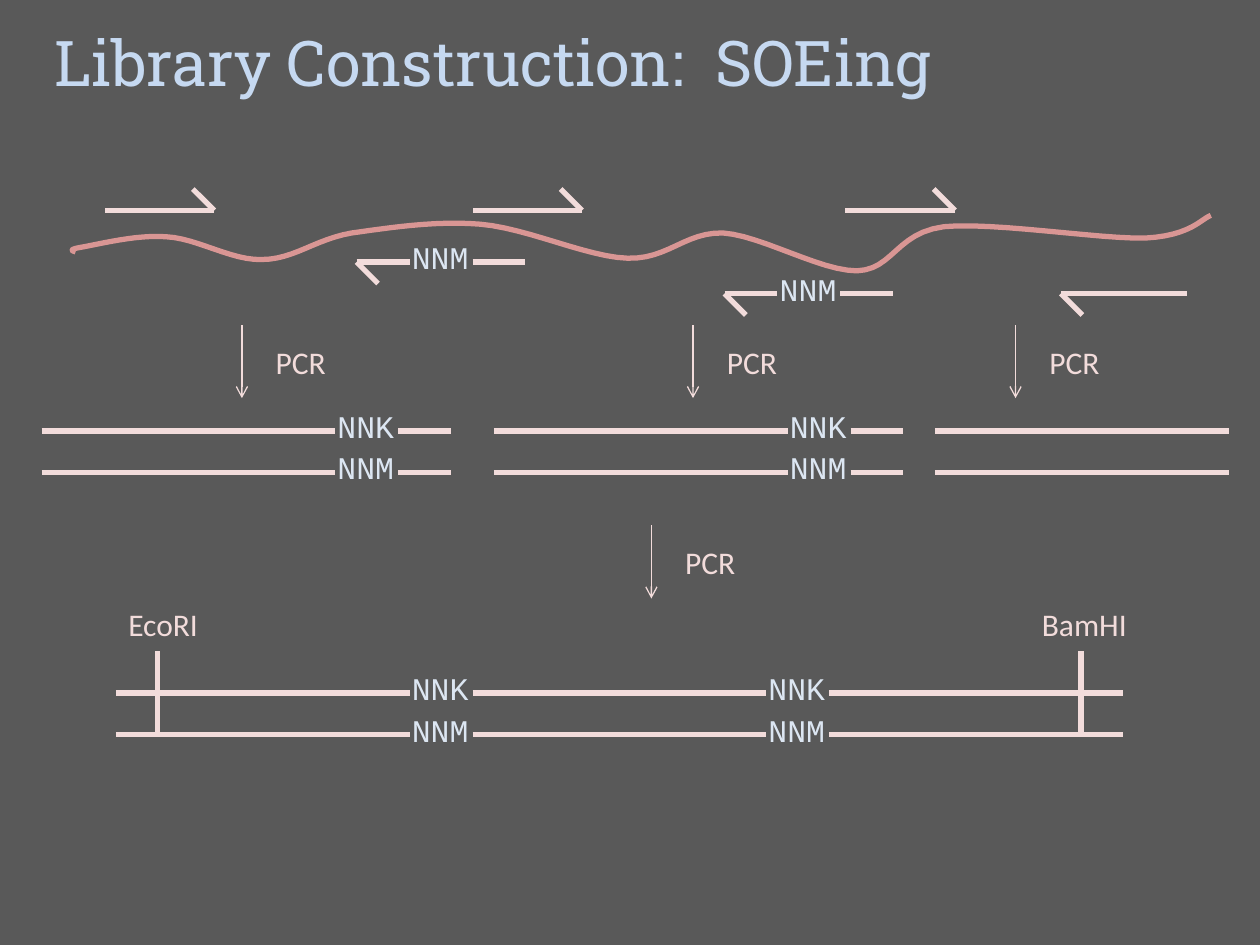
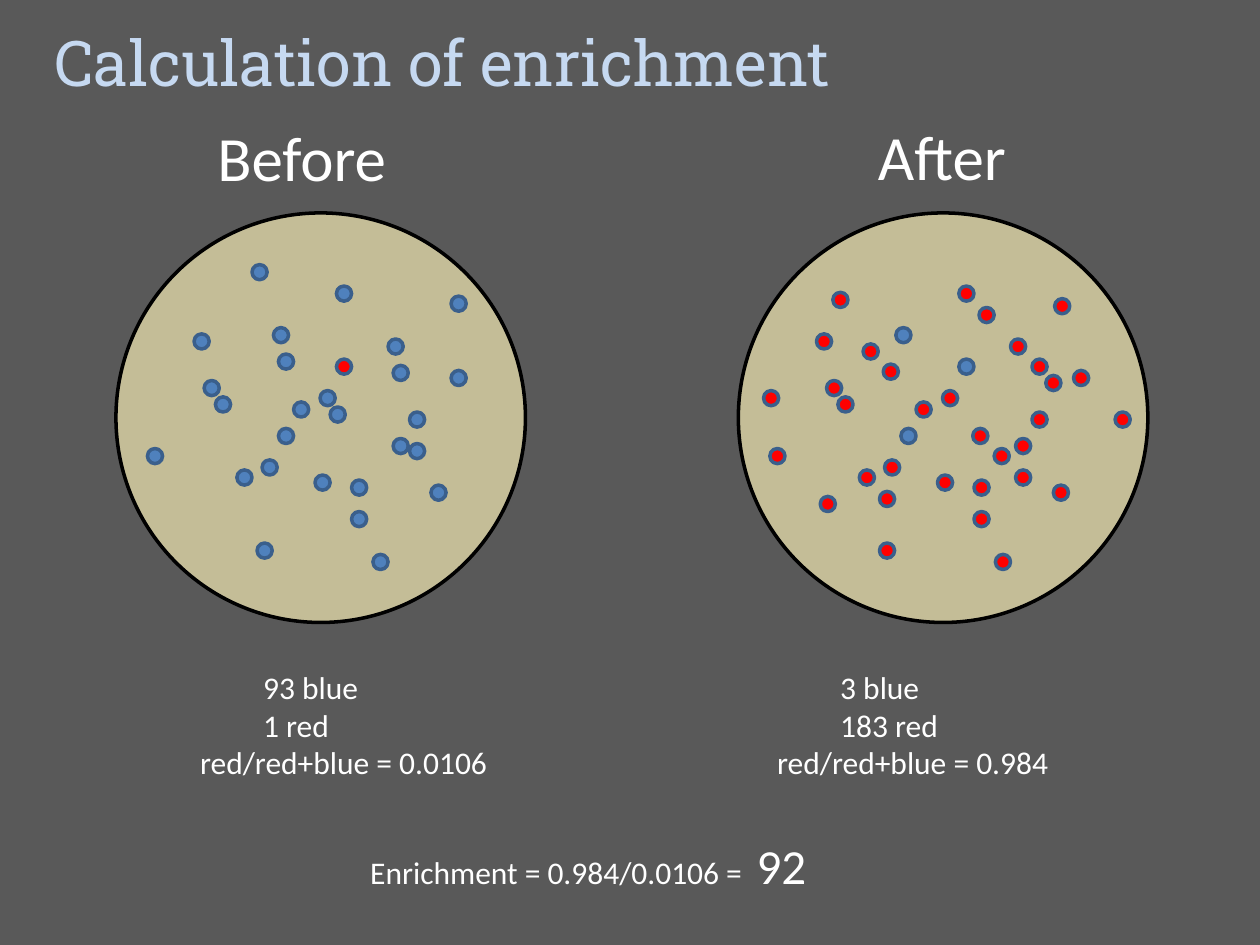
from dataclasses import dataclass

from pptx import Presentation
from pptx.dml.color import RGBColor
from pptx.enum.shapes import MSO_CONNECTOR, MSO_SHAPE
from pptx.enum.text import MSO_ANCHOR, MSO_AUTO_SIZE, PP_ALIGN
from pptx.oxml.ns import qn
from pptx.util import Inches, Pt
from lxml.etree import SubElement


@dataclass(frozen=True)
class Theme:
    background: str = "595959"
    title: str = "C6D9F1"
    strand: str = "F2DCDB"
    gene: str = "D99694"
    codon: str = "DCE6F2"
    text: str = "FFFFFF"
    agar: str = "C4BD97"
    dish_edge: str = "000000"
    blue: str = "4F81BD"
    red: str = "FF0000"
    colony_edge: str = "3A5F8C"
    title_font: str = "Roboto Slab"
    body_font: str = "Calibri"
    codon_font: str = "Courier New"
    title_size: int = 36
    result_size: int = 28
    body_size: int = 18
    strand_width: float = 3
    arrow_width: float = 0.75
    edge_width: float = 2


THEME = Theme()

GENE_START = (0.6, 2)
GENE_CURVES = [
    ((0.57, 1.99), (0.54, 1.98), (0.66, 1.96)),
    ((0.78, 1.94), (1.09, 1.86), (1.32, 1.88)),
    ((1.56, 1.89), (1.84, 2.07), (2.08, 2.06)),
    ((2.33, 2.06), (2.5, 1.9), (2.79, 1.85)),
    ((3.08, 1.81), (3.45, 1.75), (3.81, 1.78)),
    ((4.18, 1.81), (4.66, 2.04), (4.98, 2.05)),
    ((5.3, 2.06), (5.44, 1.84), (5.74, 1.85)),
    ((6.04, 1.87), (6.51, 2.15), (6.8, 2.15)),
    ((7.09, 2.14), (7.11, 1.85), (7.49, 1.8)),
    ((7.87, 1.76), (8.74, 1.9), (9.09, 1.89)),
    ((9.45, 1.87), (9.53, 1.74), (9.61, 1.71)),
]

DISH_SHIFT = 4.94
SHARED_COLONIES = [
    (2.17, 2.6), (3.08, 2.69), (1.54, 2.65), (1.71, 3.15), (2.79, 4.06),
    (2.33, 3.19), (3.25, 3.27), (1.88, 3.73), (2.79, 3.81), (2.5, 3.77),
    (3.42, 3.85), (2.04, 4.31), (2.96, 4.4), (2.67, 2.27), (2.67, 2.85),
    (3.58, 2.94), (2.21, 3.4), (3.12, 3.48), (1.62, 3.02), (2.54, 3.1),
    (1.17, 3.56), (2.08, 3.65),
]
BEFORE_COLONIES = [
    (2, 2.1), (3.25, 3.52), (2.62, 3.23), (3.58, 2.35), (2.21, 2.81),
    (3.12, 2.9),
]
AFTER_COLONIES = [
    (1.91, 2.73), (1.57, 3.94), (1.12, 3.1), (3.36, 2.98), (1.67, 2.32),
    (2.78, 3.4), (2.04, 3.9), (3.25, 2.85), (2.07, 2.89), (2.83, 2.44),
    (2.95, 3.56), (3.43, 2.37), (3.12, 3.73), (3.91, 3.27),
]
BEFORE_RED = {(2.67, 2.85)}
AFTER_BLUE = {(2.17, 2.6), (2.67, 2.85), (2.21, 3.4)}


def add_run(paragraph, words, size=THEME.body_size, color=THEME.text, font=THEME.body_font):
    run = paragraph.add_run()
    run.text = words
    run.font.name = font
    run.font.size = Pt(size)
    run.font.color.rgb = RGBColor.from_string(color)


def add_text(slide, left, top, width, height, wrap=True):
    box = slide.shapes.add_textbox(Inches(left), Inches(top), Inches(width), Inches(height))
    box.text_frame.word_wrap = wrap
    box.text_frame.auto_size = MSO_AUTO_SIZE.SHAPE_TO_FIT_TEXT
    return box.text_frame


def add_label(slide, words, left, top, width=0.6):
    frame = add_text(slide, left, top, width, 0.4, wrap=False)
    add_run(frame.paragraphs[0], words, color=THEME.strand)


def add_codon(slide, codon, left, strand_y):
    frame = add_text(slide, left, strand_y - 0.24, 0.83, 0.4)
    add_run(frame.paragraphs[0], codon, color=THEME.codon, font=THEME.codon_font)


def add_line(slide, start, end, width=THEME.strand_width, arrow=False):
    x1, y1, x2, y2 = (Inches(value) for value in (*start, *end))
    connector = slide.shapes.add_connector(MSO_CONNECTOR.STRAIGHT, x1, y1, x2, y2)
    connector.line.color.rgb = RGBColor.from_string(THEME.strand)
    connector.line.width = Pt(width)
    if arrow:
        SubElement(connector.line._get_or_add_ln(), qn("a:tailEnd"), type="arrow")
    SubElement(connector._element.spPr, qn("a:effectLst"))


def add_disc(slide, left, top, size, fill, edge):
    disc = slide.shapes.add_shape(
        MSO_SHAPE.OVAL, Inches(left), Inches(top), Inches(size), Inches(size))
    disc.shadow.inherit = False
    disc.fill.solid()
    disc.fill.fore_color.rgb = RGBColor.from_string(fill)
    disc.line.color.rgb = RGBColor.from_string(edge)
    disc.line.width = Pt(THEME.edge_width)


def curve_points(start, curves, steps=12):
    for first, second, end in curves:
        for step in range(1, steps + 1):
            t = step / steps
            weights = ((1 - t) ** 3, 3 * t * (1 - t) ** 2, 3 * t ** 2 * (1 - t), t ** 3)
            yield tuple(
                Inches(sum(w * value for w, value in zip(weights, values)))
                for values in zip(start, first, second, end))
        start = end


def add_gene(slide):
    builder = slide.shapes.build_freeform(*(Inches(value) for value in GENE_START))
    builder.add_line_segments(list(curve_points(GENE_START, GENE_CURVES)), close=False)
    gene = builder.convert_to_shape()
    gene.shadow.inherit = False
    gene.fill.background()
    gene.line.color.rgb = RGBColor.from_string(THEME.gene)
    gene.line.width = Pt(THEME.strand_width)


def add_primer(slide, tip_x, y, length, direction):
    add_line(slide, (tip_x, y), (tip_x - direction * length, y))
    add_line(slide, (tip_x, y), (tip_x - direction * 0.17, y - direction * 0.17))


def add_mutant_primer(slide, tip_x, y):
    add_primer(slide, tip_x, y, 0.42, -1)
    add_codon(slide, "NNM", tip_x + 0.34, y)
    add_line(slide, (tip_x + 0.92, y), (tip_x + 1.34, y))


def add_pcr_step(slide, x, top):
    add_line(slide, (x, top), (x, top + 0.58), THEME.arrow_width, arrow=True)
    add_label(slide, "PCR", x + 0.17, top + 0.09)


def add_duplex(slide, left, top, mutant=False, tail=False):
    for y, codon in ((top, "NNK"), (top + 0.33, "NNM")):
        add_line(slide, (left, y), (left + 2.33, y))
        if mutant:
            add_codon(slide, codon, left + 2.25, y)
        if tail:
            add_line(slide, (left + 2.83, y), (left + 3.25, y))


def add_cut_site(slide, enzyme, x, label_left, label_width):
    add_line(slide, (x, 5.17), (x, 5.83))
    add_label(slide, enzyme, label_left, 4.75, label_width)


def add_plate(slide, heading, shift, heading_left, heading_top, colonies):
    add_disc(slide, 0.92 + shift, 1.69, 3.25, THEME.agar, THEME.dish_edge)
    for (left, top), color in colonies:
        add_disc(slide, left + shift, top, 0.12, color, THEME.colony_edge)
    paragraph = add_text(slide, heading_left, heading_top, 3.71, 0.71).paragraphs[0]
    paragraph.alignment = PP_ALIGN.CENTER
    add_run(paragraph, heading, THEME.title_size)


def add_tally(slide, left, blue, red, ratio):
    frame = add_text(slide, left, 5.25, 2.67, 1.01)
    lines = ((f"{blue} blue", 1), (f"{red} red", 1), (f"red/red+blue = {ratio}", 0))
    for number, (words, level) in enumerate(lines):
        paragraph = frame.add_paragraph() if number else frame.paragraphs[0]
        paragraph.level = level
        properties = paragraph._p.get_or_add_pPr()
        properties.set("marL", str(Inches(0.5 * level)))
        properties.set("indent", "0")
        add_run(paragraph, words)


def style_template(prs):
    prs.slide_width, prs.slide_height = Inches(10), Inches(7.5)
    fill = prs.slide_master.background.fill
    fill.solid()
    fill.fore_color.rgb = RGBColor.from_string(THEME.background)
    layout = prs.slide_layouts.get_by_name("Title Only")
    title = layout.placeholders[0]
    title.left, title.top = Inches(0.33), Inches(0.14)
    title.width, title.height = Inches(9.42), Inches(0.71)
    return layout


def add_titled_slide(prs, layout, words):
    slide = prs.slides.add_slide(layout)
    frame = slide.shapes.title.text_frame
    frame.auto_size = MSO_AUTO_SIZE.NONE
    frame.vertical_anchor = MSO_ANCHOR.TOP
    frame.word_wrap = True
    frame.paragraphs[0].alignment = PP_ALIGN.LEFT
    add_run(frame.paragraphs[0], words, THEME.title_size, THEME.title, THEME.title_font)
    return slide


def build_library_slide(prs, layout):
    slide = add_titled_slide(prs, layout, "Library Construction:  SOEing")
    add_gene(slide)
    for tip_x in (1.7, 4.62, 7.58):
        add_primer(slide, tip_x, 1.67, 0.87, 1)
    add_mutant_primer(slide, 2.83, 2.08)
    add_mutant_primer(slide, 5.75, 2.33)
    add_primer(slide, 8.42, 2.33, 1, -1)
    for x in (1.92, 5.5, 8.06):
        add_pcr_step(slide, x, 2.58)
    for left, mutant in ((0.33, True), (3.92, True), (7.42, False)):
        add_duplex(slide, left, 3.42, mutant, tail=mutant)
    add_pcr_step(slide, 5.17, 4.17)
    for left, mutant in ((0.92, True), (3.75, True), (6.58, False)):
        add_duplex(slide, left, 5.5, mutant)
    add_cut_site(slide, "EcoRI", 1.25, 0.92, 0.76)
    add_cut_site(slide, "BamHI", 8.58, 8.17, 0.88)


def build_enrichment_slide(prs, layout):
    slide = add_titled_slide(prs, layout, "Calculation of enrichment")
    before = [(spot, THEME.red if spot in BEFORE_RED else THEME.blue)
              for spot in SHARED_COLONIES + BEFORE_COLONIES]
    after = [(spot, THEME.blue if spot in AFTER_BLUE else THEME.red)
             for spot in SHARED_COLONIES + AFTER_COLONIES]
    add_plate(slide, "Before", 0, 0.54, 0.89, before)
    add_plate(slide, "After", DISH_SHIFT, 5.62, 0.88, after)
    add_tally(slide, 1.49, 93, 1, "0.0106")
    add_tally(slide, 6.07, 3, 183, "0.984")
    enrichment = add_text(slide, 2.84, 6.58, 3.7, 0.57, wrap=False).paragraphs[0]
    add_run(enrichment, "Enrichment = 0.984/0.0106 =  ")
    add_run(enrichment, "92", THEME.result_size)


def main():
    prs = Presentation()
    layout = style_template(prs)
    build_library_slide(prs, layout)
    build_enrichment_slide(prs, layout)
    prs.save("out.pptx")


if __name__ == "__main__":
    main()
